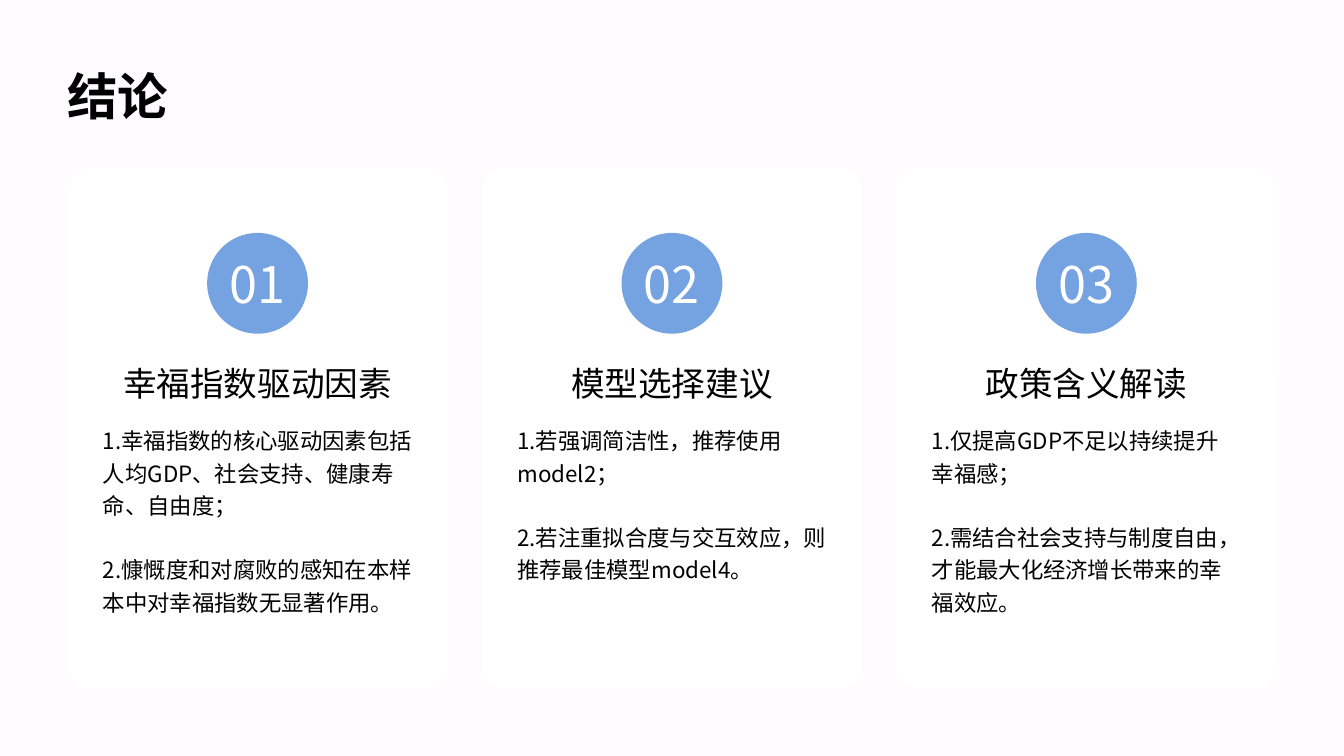
from dataclasses import dataclass

from lxml.etree import SubElement
from pptx import Presentation
from pptx.dml.color import RGBColor
from pptx.enum.shapes import MSO_SHAPE
from pptx.enum.text import MSO_ANCHOR, PP_ALIGN
from pptx.oxml.ns import qn
from pptx.util import Emu, Pt

PX = 10160  # 90 px to the inch
FONT = "Noto Sans CJK SC"
BACKGROUND = RGBColor(0xFF, 0xFB, 0xFE)
WHITE = RGBColor(0xFF, 0xFF, 0xFF)
BLUE = RGBColor(0x75, 0xA2, 0xE0)
BLACK = RGBColor(0x00, 0x00, 0x00)

MARGIN, CARD_TOP, CARD_WIDTH, CARD_HEIGHT, CARD_GAP = 60, 150, 340, 465, 30
CARD_RADIUS, CARD_PADDING, BADGE_SIZE = 20, 30, 90


@dataclass(frozen=True)
class Card:
    heading: str
    points: tuple[str, ...]


@dataclass(frozen=True)
class Style:
    size: int
    color: RGBColor = BLACK
    bold: bool = False
    align: PP_ALIGN = PP_ALIGN.LEFT
    anchor: MSO_ANCHOR = MSO_ANCHOR.TOP
    line_spacing: float = 1.0
    gap: int = 0  # points between paragraphs
    inset: int = 2


TITLE = Style(36, bold=True, line_spacing=1.11, inset=0)
NUMBER = Style(36, WHITE, align=PP_ALIGN.CENTER, anchor=MSO_ANCHOR.MIDDLE)
HEADING = Style(24, align=PP_ALIGN.CENTER, anchor=MSO_ANCHOR.MIDDLE)
BODY = Style(16, line_spacing=1.2, gap=23)

CARDS = (
    Card("幸福指数驱动因素", (
        "1.幸福指数的核心驱动因素包括人均GDP、社会支持、健康寿命、自由度；",
        "2.慷慨度和对腐败的感知在本样本中对幸福指数无显著作用。",
    )),
    Card("模型选择建议", (
        "1.若强调简洁性，推荐使用model2；",
        "2.若注重拟合度与交互效应，则推荐最佳模型model4。",
    )),
    Card("政策含义解读", (
        "1.仅提高GDP不足以持续提升幸福感；",
        "2.需结合社会支持与制度自由，才能最大化经济增长带来的幸福效应。",
    )),
)


def scaled(*lengths: int) -> list[Emu]:
    return [Emu(length * PX) for length in lengths]


def write(shape, paragraphs: tuple[str, ...], style: Style) -> None:
    frame = shape.text_frame
    frame.word_wrap = True
    frame.vertical_anchor = style.anchor
    frame.margin_left = frame.margin_right = Emu(style.inset * PX)
    frame.margin_top = frame.margin_bottom = 0
    for index, text in enumerate(paragraphs):
        para = frame.add_paragraph() if index else frame.paragraphs[0]
        para.text = text
        para.alignment = style.align
        para.line_spacing = style.line_spacing
        if index:
            para.space_before = Pt(style.gap)
        para.font.name = FONT
        para.font.size = Pt(style.size)
        para.font.bold = style.bold
        para.font.color.rgb = style.color
        # East Asian typeface
        properties = para._p.pPr.find(qn("a:defRPr"))
        SubElement(properties, qn("a:ea")).set("typeface", FONT)


def add_text(page, left: int, top: int, width: int, height: int,
             paragraphs: tuple[str, ...], style: Style) -> None:
    box = page.shapes.add_textbox(*scaled(left, top, width, height))
    write(box, paragraphs, style)


def add_filled(page, kind: MSO_SHAPE, left: int, top: int, width: int,
               height: int, color: RGBColor):
    shape = page.shapes.add_shape(kind, *scaled(left, top, width, height))
    shape.shadow.inherit = False
    shape.fill.solid()
    shape.fill.fore_color.rgb = color
    shape.line.fill.background()
    return shape


def add_card(page, index: int, card: Card) -> None:
    left = MARGIN + index * (CARD_WIDTH + CARD_GAP)
    panel = add_filled(page, MSO_SHAPE.ROUNDED_RECTANGLE, left, CARD_TOP,
                       CARD_WIDTH, CARD_HEIGHT, WHITE)
    panel.adjustments[0] = CARD_RADIUS / CARD_WIDTH

    # Numbered badge
    badge_left = left + (CARD_WIDTH - BADGE_SIZE) // 2
    badge = add_filled(page, MSO_SHAPE.OVAL, badge_left, 208,
                       BADGE_SIZE, BADGE_SIZE, BLUE)
    write(badge, (f"{index + 1:02}",), NUMBER)

    # Heading and points
    text_left = left + CARD_PADDING
    text_width = CARD_WIDTH - 2 * CARD_PADDING
    add_text(page, text_left, 322, text_width, 40, (card.heading,), HEADING)
    add_text(page, text_left, 377, text_width, 180, card.points, BODY)


def main() -> None:
    deck = Presentation()
    deck.slide_width, deck.slide_height = scaled(1200, 675)
    page = deck.slides.add_slide(deck.slide_layouts[6])
    page.background.fill.solid()
    page.background.fill.fore_color.rgb = BACKGROUND

    add_text(page, MARGIN, 52, 1080, 60, ("结论",), TITLE)
    for index, card in enumerate(CARDS):
        add_card(page, index, card)
    deck.save("out.pptx")


if __name__ == "__main__":
    main()
